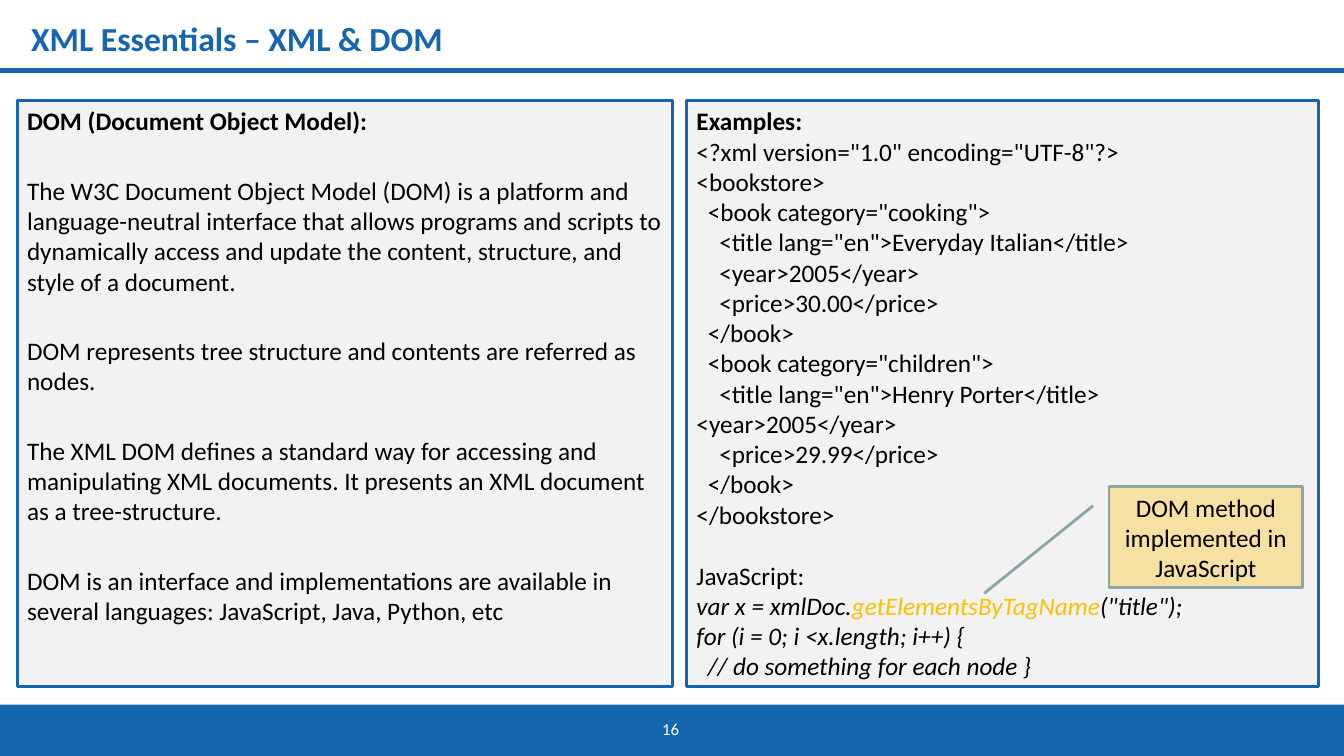
from pptx import Presentation
from pptx.dml.color import RGBColor
from pptx.enum.shapes import MSO_CONNECTOR, MSO_SHAPE
from pptx.enum.text import MSO_ANCHOR, PP_ALIGN
from pptx.oxml.ns import qn
from pptx.util import Inches, Pt
from lxml import etree

BLUE = RGBColor(0x16, 0x66, 0xAF)
WHITE = RGBColor(0xFF, 0xFF, 0xFF)
BLACK = RGBColor(0, 0, 0)
GREY = RGBColor(0xF2, 0xF2, 0xF2)
GOLD = RGBColor(0xFF, 0xC0, 0x00)
SAND = RGBColor(0xF6, 0xE1, 0xA3)
SAGE = RGBColor(0x8A, 0xA6, 0xA8)

TITLE = "XML Essentials – XML & DOM"
PAGE = "16"
DOM_HEADING = "DOM (Document Object Model):"
DOM_NOTES = [
    "The W3C Document Object Model (DOM) is a platform and language-neutral interface that allows "
    "programs and scripts to dynamically access and update the content, structure, and style of a document.",
    "DOM represents tree structure and contents are referred as nodes.",
    "The XML DOM defines a standard way for accessing and manipulating XML documents. "
    "It presents an XML document as a tree-structure.",
    "DOM is an interface and implementations are available in several languages: "
    "JavaScript, Java, Python, etc",
]
XML_HEADING = "Examples:"
XML_LINES = [
    (0, '<?xml version="1.0" encoding="UTF-8"?>'),
    (0, "<bookstore>"),
    (1, '<book category="cooking">'),
    (2, '<title lang="en">Everyday Italian</title>'),
    (2, "<year>2005</year>"),
    (2, "<price>30.00</price>"),
    (1, "</book>"),
    (1, '<book category="children">'),
    (2, '<title lang="en">Henry Porter</title>'),
    (0, "<year>2005</year>"),
    (2, "<price>29.99</price>"),
    (1, "</book>"),
    (0, "</bookstore>"),
]
SCRIPT_HEADING = "JavaScript:"
SCRIPT_LINES = [
    (0, [("var x = xmlDoc.", BLACK), ("getElementsByTagName", GOLD), ('("title");', BLACK)]),
    (0, [("for (i = 0; i <x.length; i++) {", BLACK)]),
    (1, [("// do something for each node }", BLACK)]),
]
CALLOUT = "DOM method implemented in JavaScript"
CALLOUT_LEADER = (0.188, -0.083, 1.057, -0.645)

INDENT = 0.113
NOTE_GAP = 28
SCRIPT_GAP = 22


def style(r, size=18, color=BLACK, bold=False, italic=False):
    r.font.name = "Calibri"
    r.font.size = Pt(size)
    r.font.color.rgb = color
    r.font.bold = bold
    r.font.italic = italic


def add_box(s, kind, box, fill, line=None):
    sp = s.shapes.add_shape(kind, *map(Inches, box))
    sp.shadow.inherit = False
    sp.fill.solid()
    sp.fill.fore_color.rgb = fill
    if line is None:
        sp.line.fill.background()
    else:
        sp.line.color.rgb = line
        sp.line.width = Pt(2)
    return sp


def add_panel(s, left, width, paragraphs):
    sp = add_box(s, MSO_SHAPE.RECTANGLE, (left, 1, width, 5.81), GREY, BLUE)
    tf = sp.text_frame
    tf.word_wrap = True
    tf.vertical_anchor = MSO_ANCHOR.TOP
    for i, (runs, level, gap, bold, italic) in enumerate(paragraphs):
        p = tf.add_paragraph() if i else tf.paragraphs[0]
        p.alignment = PP_ALIGN.LEFT
        p.space_before = Pt(gap)
        if level:
            p._p.get_or_add_pPr().set("marL", str(Inches(level * INDENT)))
        for text, color in runs:
            r = p.add_run()
            r.text = text
            style(r, color=color, bold=bold, italic=italic)


def plain(text, level=0, gap=0, bold=False):
    return [(text, BLACK)], level, gap, bold, False


def main():
    prs = Presentation()
    prs.slide_width, prs.slide_height = Inches(13.33), Inches(7.5)
    s = prs.slides.add_slide(prs.slide_layouts[5])

    add_box(s, MSO_SHAPE.RECTANGLE, (0, 6.99, 13.33, 0.51), BLUE)

    rule = s.shapes.add_connector(MSO_CONNECTOR.STRAIGHT, Inches(13.33), Inches(0.7), 0, Inches(0.7))
    rule.line.color.rgb = BLUE
    rule.line.width = Pt(3)
    etree.SubElement(rule._element.spPr, qn("a:effectLst"))

    page = s.shapes.add_textbox(*map(Inches, (6.47, 7.08, 0.4, 0.3)))
    page.text_frame.word_wrap = False
    page.text_frame.text = PAGE
    style(page.text_frame.paragraphs[0].runs[0], 12, WHITE)

    title = s.shapes.title
    title.left, title.top, title.width, title.height = map(Inches, (0.31, 0.13, 12.27, 0.87))
    tf = title.text_frame
    tf.text = TITLE
    tf.margin_left = 0
    tf.vertical_anchor = MSO_ANCHOR.TOP
    tf.paragraphs[0].alignment = PP_ALIGN.LEFT
    style(tf.paragraphs[0].runs[0], 24, BLUE, bold=True)

    notes = [plain(DOM_HEADING, bold=True)]
    notes += [plain(text, gap=NOTE_GAP) for text in DOM_NOTES]
    add_panel(s, 0.17, 6.5, notes)

    examples = [plain(XML_HEADING, bold=True)]
    examples += [plain(text, level) for level, text in XML_LINES]
    examples.append(plain(SCRIPT_HEADING, gap=SCRIPT_GAP))
    examples += [(runs, level, 0, False, True) for level, runs in SCRIPT_LINES]
    add_panel(s, 6.81, 6.27, examples)

    callout = add_box(s, MSO_SHAPE.LINE_CALLOUT_1, (11, 4.83, 1.92, 1), SAND, SAGE)
    for i, value in enumerate(CALLOUT_LEADER):
        callout.adjustments[i] = value
    tf = callout.text_frame
    tf.word_wrap = True
    tf.vertical_anchor = MSO_ANCHOR.MIDDLE
    tf.text = CALLOUT
    tf.paragraphs[0].alignment = PP_ALIGN.CENTER
    style(tf.paragraphs[0].runs[0])

    prs.save("out.pptx")


if __name__ == "__main__":
    main()
